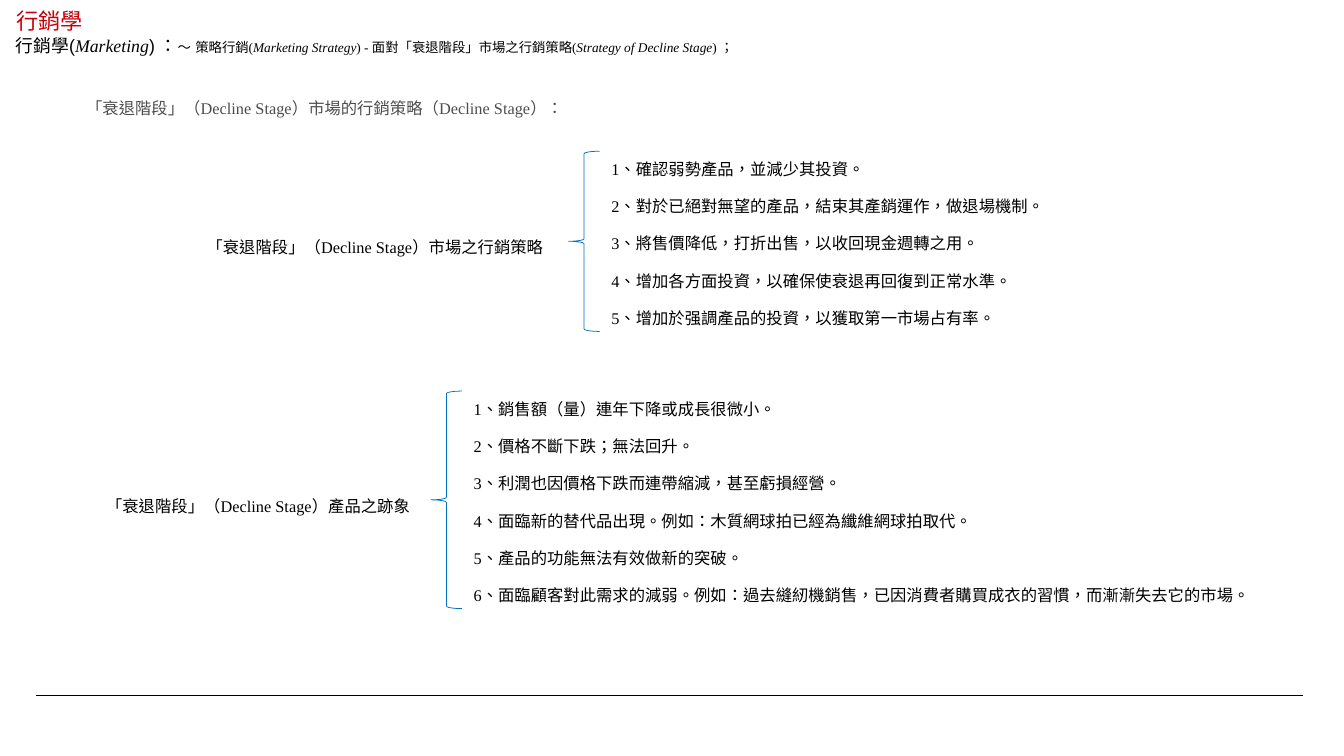
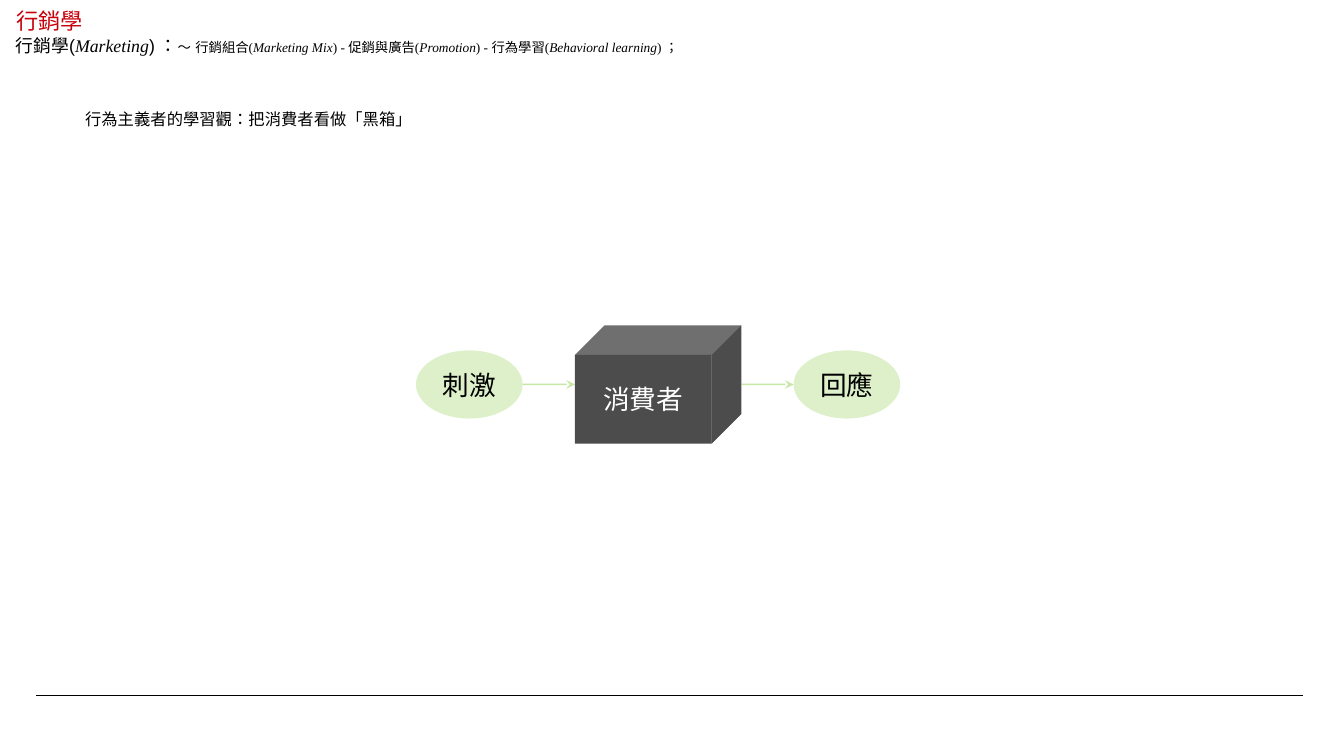
"""Builds two marketing lecture slides."""
from lxml.etree import SubElement
from pptx import Presentation
from pptx.dml.color import RGBColor as RGB
from pptx.enum.lang import MSO_LANGUAGE_ID as Lang
from pptx.enum.shapes import MSO_CONNECTOR as Conn, MSO_SHAPE as Kind
from pptx.enum.text import MSO_ANCHOR as Anchor, MSO_AUTO_SIZE as Auto, PP_ALIGN as Align
from pptx.oxml.ns import qn
from pptx.util import Pt

BLACK, WHITE, GRAY = "000000", "FFFFFF", "4D4D4D"
RED, BLUE, GREEN = "C7000B", "0070C0", "92D050"
SANS, SERIF = "Arial", "Times New Roman"
PITCH = 25.2
TWO_LISTS, TITLE_ONLY = 3, 5


def paint(form, tone, alpha=100):
    """Give a fill a solid colour with an optional opacity in percent."""
    form.solid()
    form.fore_color.rgb = RGB.from_string(tone)
    if alpha < 100:
        node = form.fore_color._xFill.find(qn("a:srgbClr"))
        SubElement(node, qn("a:alpha"), val=str(alpha * 1000))


class Deck:
    """Holds the style and the current slide."""

    def __init__(self, wide, high):
        self.prs = Presentation()
        self.prs.slide_width, self.prs.slide_height = Pt(wide), Pt(high)
        self.slide = None

    def style(self, para, size, face=SERIF, tone=BLACK, align=Align.LEFT):
        """Set the font and alignment of a paragraph."""
        para.alignment = align
        font = para.font
        font.size, font.name = Pt(size), face
        font.language_id = Lang.TRADITIONAL_CHINESE
        paint(font.fill, tone)

    def place(self, shape, x, y, w, h):
        """Move a shape and return its wrapped text frame."""
        shape.left, shape.top, shape.width, shape.height = Pt(x), Pt(y), Pt(w), Pt(h)
        frame = shape.text_frame
        frame.word_wrap, frame.auto_size = True, Auto.NONE
        return frame

    def box(self, x, y, w, h):
        """Add a text box and return its first paragraph."""
        shape = self.slide.shapes.add_textbox(0, 0, 0, 0)
        return self.place(shape, x, y, w, h).paragraphs[0]

    def page(self, layout, topic):
        """Start a slide with its title, topic line and bottom rule."""
        self.slide = self.prs.slides.add_slide(self.prs.slide_layouts[layout])
        self.line(24.5, 879.8, 469.4, BLACK, 0.5)
        frame = self.place(self.slide.shapes.title, 3.6, 5, 671, 17.3)
        frame.vertical_anchor = Anchor.MIDDLE
        frame.text = "行銷學"
        self.style(frame.paragraphs[0], 15, SANS, RED)
        para = self.box(3.6, 18.7, 751, 23)
        self.style(para, 9)
        head = [("行銷學(", 12, SANS, False), ("Marketing", 12, SERIF, True),
                (") ：", 12, SANS, False), ("～", 9, SANS, False), (" ", 13, SANS, False)]
        tail = [(text, 9, SERIF, i % 2 == 1) for i, text in enumerate(topic)]
        for text, size, face, slant in head + tail:
            run = para.add_run()
            run.text = text
            run.font.size, run.font.name, run.font.italic = Pt(size), face, slant

    def label(self, text, x, y, w, tone=BLACK, align=Align.LEFT):
        """Add one line of body text."""
        para = self.box(x, y, w, 24.5)
        para.text, para.line_spacing = text, 1.5
        self.style(para, 11, tone=tone, align=align)

    def line(self, start, end, y, tone, width, alpha=100, arrow=False):
        """Add a level line, with an arrowhead if asked."""
        line = self.slide.shapes.add_connector(Conn.STRAIGHT, Pt(start), Pt(y), Pt(end), Pt(y))
        line.line.width = Pt(width)
        paint(line.line.fill, tone, alpha)
        if arrow:
            SubElement(line.line._get_or_add_ln(), qn("a:tailEnd"), type="stealth")
        SubElement(line._element.spPr, qn("a:effectLst"))

    def shape(self, kind, x, y, w, h):
        """Add a preset shape without shadow."""
        shape = self.slide.shapes.add_shape(kind, Pt(x), Pt(y), Pt(w), Pt(h))
        shape.shadow.inherit = False
        return shape

    def node(self, kind, text, x, y, w, h, fill, alpha, tone):
        """Add a filled shape with centred text."""
        shape = self.shape(kind, x, y, w, h)
        paint(shape.fill, fill, alpha)
        shape.line.fill.background()
        frame = self.place(shape, x, y, w, h)
        frame.margin_left = frame.margin_right = 0
        frame.vertical_anchor = Anchor.MIDDLE
        frame.text = text
        self.style(frame.paragraphs[0], 18, SANS, tone, Align.CENTER)

    def group(self, slot, name, x, y, w, span, rows):
        """Add a numbered list with a brace and its name on the left."""
        high = PITCH * len(rows)
        frame = self.place(self.slide.placeholders[slot], x, y - 6.2, w, high + 7.2)
        for i, row in enumerate(rows):
            para = frame.paragraphs[0] if i == 0 else frame.add_paragraph()
            para.text = f"{i + 1}、{row}"
            para.line_spacing, para.space_before = Pt(PITCH), Pt(0)
            props = para._p.get_or_add_pPr()
            props.set("marL", "0")
            props.set("indent", "0")
            SubElement(props, qn("a:buNone"))
            self.style(para, 11)
        brace = self.shape(Kind.LEFT_BRACE, x - 21.6, y + 4.2, 20.9, high - 4.3)
        brace.fill.background()
        brace.line.width = Pt(0.5)
        paint(brace.line.fill, BLUE)
        self.label(name, x - 22.4 - span, y + high / 2 - 10.6, span, align=Align.CENTER)

    def chain(self, x, mid, gap, nodes):
        """Add nodes in a row, joined by arrows."""
        for i, (kind, text, w, h, *look) in enumerate(nodes):
            if i:
                self.line(x, x + gap, mid, GREEN, 1, 50, True)
                x += gap
            self.node(kind, text, x, mid - h / 2, w, h, *look)
            x += w


def main():
    """Build both slides and save them."""
    deck = Deck(907.2, 510.5)
    deck.page(TWO_LISTS, ["策略行銷(", "Marketing Strategy", ") - 面對「衰退階段」市場之行銷策略(",
                          "Strategy of Decline Stage", ") ；"])
    deck.label("「衰退階段」（Decline Stage）市場的行銷策略（Decline Stage）：", 51.1, 56.2, 804.2, GRAY)
    deck.group(1, "「衰退階段」（Decline Stage）市場之行銷策略", 405.4, 97.9, 315.4, 259.9, [
        "確認弱勢產品，並減少其投資。",
        "對於已絕對無望的產品，結束其產銷運作，做退場機制。",
        "將售價降低，打折出售，以收回現金週轉之用。",
        "增加各方面投資，以確保使衰退再回復到正常水準。",
        "增加於强調產品的投資，以獲取第一市場占有率。",
    ])
    deck.group(2, "「衰退階段」（Decline Stage）產品之跡象", 312.5, 259.9, 542.9, 231.8, [
        "銷售額（量）連年下降或成長很微小。",
        "價格不斷下跌；無法回升。",
        "利潤也因價格下跌而連帶縮減，甚至虧損經營。",
        "面臨新的替代品出現。例如：木質網球拍已經為纖維網球拍取代。",
        "產品的功能無法有效做新的突破。",
        "面臨顧客對此需求的減弱。例如：過去縫紉機銷售，已因消費者購買成衣的習慣，而漸漸失去它的市場。",
    ])

    deck.page(TITLE_ONLY, ["行銷組合(", "Marketing Mix", ") - 促銷與廣告(", "Promotion",
                           ") - 行為學習(", "Behavioral learning", ") ；"])
    deck.label("行為主義者的學習觀：把消費者看做「黑箱」", 50.4, 63.4, 806.4)
    oval = (72, 46, GREEN, 30, BLACK)
    deck.chain(280.8, 259.6, 35.3, [
        (Kind.OVAL, "刺激", *oval),
        (Kind.CUBE, "消費者", 112.3, 79.9, BLACK, 70, WHITE),
        (Kind.OVAL, "回應", *oval),
    ])
    deck.prs.save("out.pptx")


if __name__ == "__main__":
    main()
